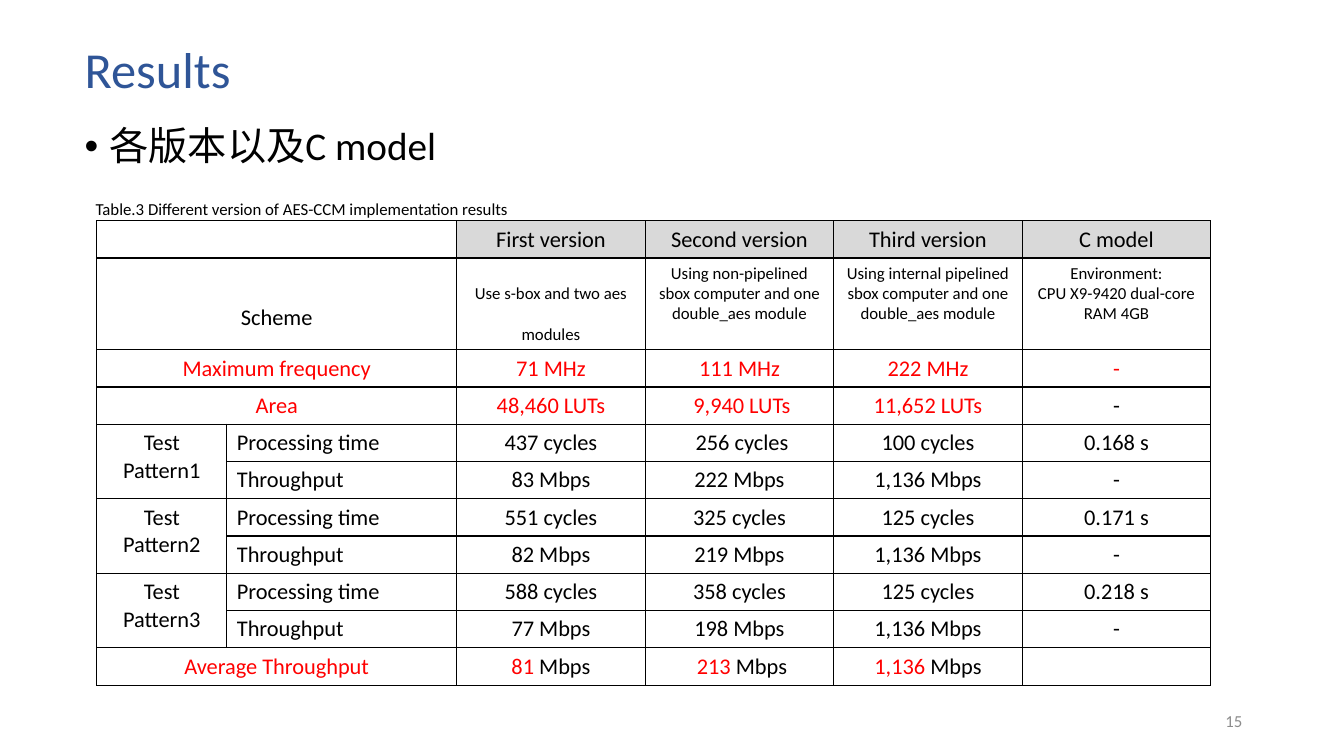
"""Build the results slide comparing the AES-CCM versions with the C model."""
import lxml.etree
import pptx
import pptx.dml.color
import pptx.enum.text
import pptx.oxml.ns
import pptx.util

Inches = pptx.util.Inches
Pt = pptx.util.Pt
RGBColor = pptx.dml.color.RGBColor
Align = pptx.enum.text.PP_ALIGN
Anchor = pptx.enum.text.MSO_ANCHOR
qn = pptx.oxml.ns.qn

BLACK = RGBColor(0x00, 0x00, 0x00)
WHITE = RGBColor(0xFF, 0xFF, 0xFF)
RED = RGBColor(0xFF, 0x00, 0x00)
BLUE = RGBColor(0x2F, 0x55, 0x97)
HEADER_GRAY = RGBColor(0xD9, 0xD9, 0xD9)
NUMBER_GRAY = RGBColor(0x8C, 0x8C, 0x8C)

COLUMN_WIDTHS = [1.29, 2.28] + [1.87] * 4
ROW_HEIGHT = 0.37
SCHEME_HEIGHT = 0.91
HEADER_ROW, SCHEME_ROW = 0, 1
FULL_LABEL_ROWS = (0, 1, 2, 3, 10)
PATTERN_ROWS = (4, 6, 8)

# Asterisks enclose red text.
ROWS = [
    ["", "", "First version", "Second version", "Third version", "C model"],
    ["Scheme", "", "Use s-box and two aes modules",
     "Using non-pipelined sbox computer and one double_aes module",
     "Using internal pipelined sbox computer and one double_aes module",
     "Environment:\nCPU X9-9420 dual-core RAM 4GB"],
    ["*Maximum frequency*", "", "*71 MHz*", "*111 MHz*", "*222 MHz*", "*-*"],
    ["*Area*", "", "*48,460 LUTs*", "* 9,940 LUTs*", "*11,652 LUTs*", "-"],
    ["Test Pattern1", "Processing time", "437 cycles", " 256 cycles", "100 cycles", "0.168 s"],
    ["", "Throughput", "83 Mbps", "222 Mbps", "1,136 Mbps", "-"],
    ["Test Pattern2", "Processing time", "551 cycles", "325 cycles", "125 cycles", "0.171 s"],
    ["", "Throughput", "82 Mbps", "219 Mbps", "1,136 Mbps", "-"],
    ["Test Pattern3", "Processing time", "588 cycles", "358 cycles", "125 cycles", "0.218 s"],
    ["", "Throughput", "77 Mbps", "198 Mbps", "1,136 Mbps", "-"],
    ["*Average Throughput*", "", "*81* Mbps", " *213* Mbps", "*1,136* Mbps", ""],
]


class ResultsSlide:
    """Hold the text style and the current slide."""

    def __init__(self, slide, font_name):
        self.slide = slide
        self.font_name = font_name

    def add_run(self, paragraph, text, size, color):
        """Append one styled run."""
        run = paragraph.add_run()
        run.text = text
        run.font.name = self.font_name
        run.font.size = Pt(size)
        run.font.color.rgb = color

    def title(self, text, left, top, width, height):
        """Place and format the title placeholder."""
        shape = self.slide.shapes.title
        shape.left, shape.top = Inches(left), Inches(top)
        shape.width, shape.height = Inches(width), Inches(height)
        shape.text_frame.vertical_anchor = Anchor.MIDDLE
        paragraph = shape.text_frame.paragraphs[0]
        paragraph.alignment = Align.LEFT
        paragraph.line_spacing = 0.9
        self.add_run(paragraph, text, 36, BLUE)

    def text(self, text, left, top, width, height, size, color=BLACK,
             align=Align.LEFT, anchor=Anchor.TOP, wrap=True):
        """Add a one-paragraph text box and return the paragraph."""
        shape = self.slide.shapes.add_textbox(
            Inches(left), Inches(top), Inches(width), Inches(height))
        shape.text_frame.word_wrap = wrap
        shape.text_frame.vertical_anchor = anchor
        paragraph = shape.text_frame.paragraphs[0]
        paragraph.alignment = align
        self.add_run(paragraph, text, size, color)
        return paragraph

    def bullet(self, text, left, top, width, height, size):
        """Add a text box with one bulleted paragraph."""
        paragraph = self.text(text, left, top, width, height, size)
        properties = paragraph._p.get_or_add_pPr()
        properties.set("marL", str(Inches(0.25)))
        properties.set("indent", str(-Inches(0.25)))
        font = lxml.etree.SubElement(properties, qn("a:buFont"))
        font.set("typeface", "Arial")
        lxml.etree.SubElement(properties, qn("a:buChar")).set("char", "•")
        paragraph.line_spacing = 0.9

    def borders(self, cell):
        """Draw a black one-point line on every side of a cell."""
        properties = cell._tc.get_or_add_tcPr()
        for side in ("lnL", "lnR", "lnT", "lnB"):
            line = lxml.etree.SubElement(properties, qn(f"a:{side}"), w=str(Pt(1)))
            fill = lxml.etree.SubElement(line, qn("a:solidFill"))
            lxml.etree.SubElement(fill, qn("a:srgbClr"), val=str(BLACK))

    def cell(self, cell, text, size, fill, align, line_spacing):
        """Fill one table cell with text, borders and a background."""
        self.borders(cell)
        cell.fill.solid()
        cell.fill.fore_color.rgb = fill
        frame = cell.text_frame
        for index, line in enumerate(text.split("\n")):
            paragraph = frame.add_paragraph() if index else frame.paragraphs[0]
            paragraph.alignment = align
            paragraph.line_spacing = line_spacing
            for part, words in enumerate(line.split("*")):
                if words:
                    self.add_run(paragraph, words, size, RED if part % 2 else BLACK)
            if not line:
                lxml.etree.SubElement(
                    paragraph._p, qn("a:endParaRPr"), sz=str(size * 100))

    def table(self, rows, left, top):
        """Add the results table."""
        heights = [SCHEME_HEIGHT if row == SCHEME_ROW else ROW_HEIGHT
                   for row in range(len(rows))]
        table = self.slide.shapes.add_table(
            len(rows), len(COLUMN_WIDTHS), Inches(left), Inches(top),
            Inches(sum(COLUMN_WIDTHS)), Inches(sum(heights))).table
        table.first_row = False
        table.horz_banding = False
        for column, width in zip(table.columns, COLUMN_WIDTHS):
            column.width = Inches(width)
        for row, height in zip(table.rows, heights):
            row.height = Inches(height)
        for row in FULL_LABEL_ROWS:
            table.cell(row, 0).merge(table.cell(row, 1))
        for row in PATTERN_ROWS:
            table.cell(row, 0).merge(table.cell(row + 1, 0))
        scheme_spacing = {0: 2.5, 2: 2.0}
        for row, texts in enumerate(rows):
            for column, text in enumerate(texts):
                scheme = row == SCHEME_ROW
                self.cell(
                    table.cell(row, column), text,
                    size=12 if scheme and column > 0 else 16,
                    fill=HEADER_GRAY if row == HEADER_ROW and column > 1 else WHITE,
                    align=Align.LEFT if column == 1 else Align.CENTER,
                    line_spacing=scheme_spacing.get(column, 1.0) if scheme else 1.0)


def main():
    """Build and save the presentation."""
    presentation = pptx.Presentation()
    presentation.slide_width = Inches(13.33)
    presentation.slide_height = Inches(7.5)
    slide = presentation.slides.add_slide(presentation.slide_layouts[5])
    results = ResultsSlide(slide, "Calibri")
    results.title("Results", 0.74, 0.21, 11.5, 1.01)
    results.bullet("各版本以及C model", 0.74, 1.21, 11.5, 0.69, 28)
    results.text("15", 9.42, 6.95, 3, 0.4, 12, NUMBER_GRAY, Align.RIGHT, Anchor.MIDDLE)
    results.table(ROWS, 0.96, 2.19)
    results.text("Table.3 Different version of AES-CCM implementation results",
                 0.85, 1.92, 4.34, 0.3, 12, wrap=False)
    presentation.save("out.pptx")


if __name__ == "__main__":
    main()
